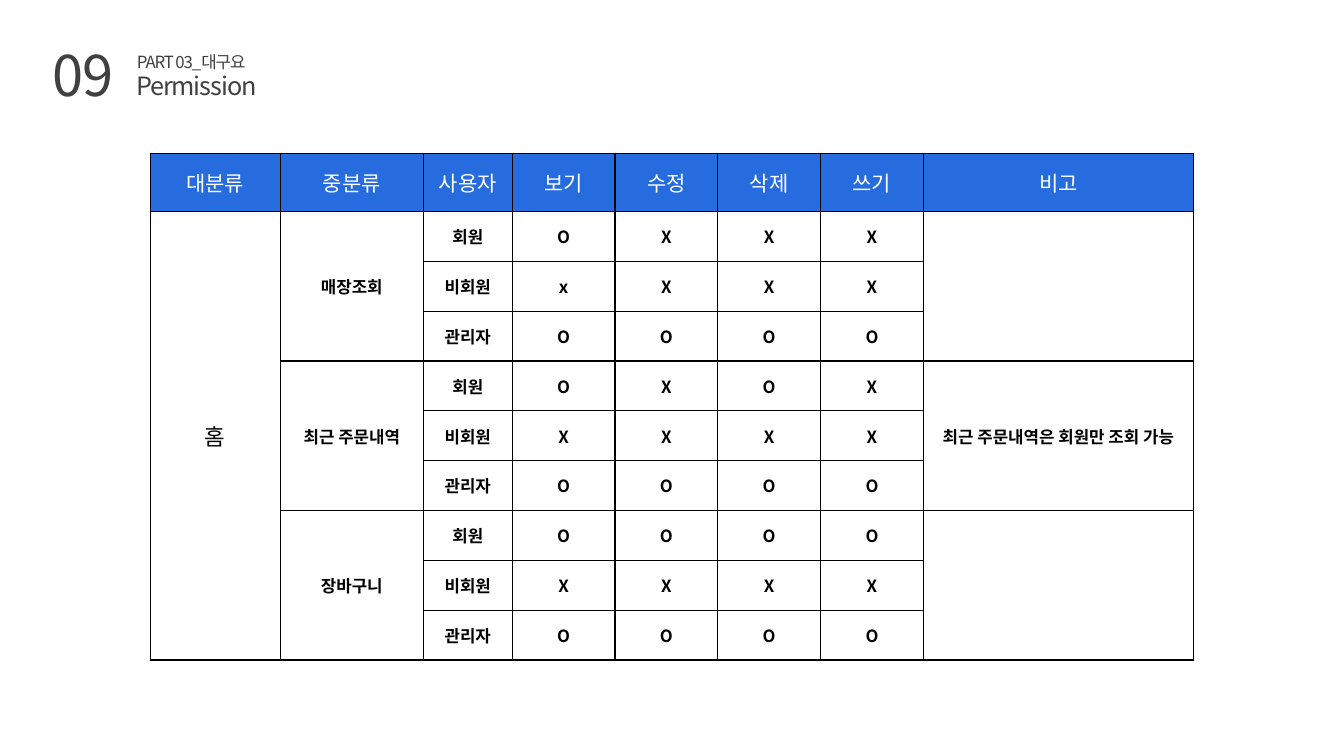
from dataclasses import dataclass

from lxml.etree import SubElement
from pptx import Presentation
from pptx.dml.color import RGBColor
from pptx.enum.text import MSO_ANCHOR, MSO_AUTO_SIZE, PP_ALIGN
from pptx.oxml.ns import qn
from pptx.shapes.base import BaseShape
from pptx.slide import Slide
from pptx.table import _Cell
from pptx.text.text import _Paragraph
from pptx.util import Inches, Pt

FACE = "Noto Sans CJK KR"
COLORS = {"ink": "404040", "head": "266CDE", "white": "FFFFFF", "black": "000000"}
HEADS = ["대분류", "중분류", "사용자", "보기", "수정", "삭제", "쓰기", "비고"]
USERS = ["회원", "비회원", "관리자"]
WIDTHS = [1.29, 1.42, 0.88] + [1.02] * 4 + [2.68]
HEAD_TALL, TALL = 0.58, 5.03


@dataclass
class Label:
    """A heading text with its place and size."""
    text: str
    left: float
    top: float
    width: float
    height: float
    size: int
    wrap: bool = False


@dataclass
class Group:
    """A middle category with one mark string per user."""
    name: str
    marks: list[str]
    note: str = ""


TITLE = Label("Permission", 1.25, 0.65, 1.4, 0.4, 18)
LABELS = [
    Label("PART 03_대구요", 1.26, 0.46, 2.11, 0.3, 12, True),
    Label("09", 0.42, 0.35, 0.92, 0.77, 40),
]
GROUPS = [
    Group("매장조회", ["OXXX", "xXXX", "OOOO"]),
    Group("최근 주문내역", ["OXOX", "XXXX", "OOOO"], "최근 주문내역은 회원만 조회 가능"),
    Group("장바구니", ["OOOO", "XXXX", "OOOO"]),
]


def style(para: _Paragraph, size: int, color: str, bold: bool = False, gap: int = 0) -> None:
    """Set the font, and the letter gap in hundredths of a point."""
    font = para.font
    font.name, font.size, font.bold = FACE, Pt(size), bold
    font.color.rgb = RGBColor.from_string(COLORS[color])
    props = para._p.pPr.find(qn("a:defRPr"))
    props.set("spc", str(gap))
    SubElement(props, qn("a:ea"), typeface=FACE)


def write(box: BaseShape, label: Label) -> None:
    """Place a heading and fill in its text."""
    box.left, box.top = Inches(label.left), Inches(label.top)
    box.width, box.height = Inches(label.width), Inches(label.height)
    frame = box.text_frame
    frame.text = label.text
    frame.word_wrap = label.wrap
    frame.auto_size = MSO_AUTO_SIZE.SHAPE_TO_FIT_TEXT
    frame.vertical_anchor = MSO_ANCHOR.TOP
    para = frame.paragraphs[0]
    para.alignment = PP_ALIGN.LEFT
    style(para, label.size, "ink", gap=-80)


def border(cell: _Cell) -> None:
    """Draw a thin black line on all four sides."""
    props = cell._tc.get_or_add_tcPr()
    for side in ("lnL", "lnR", "lnT", "lnB"):
        line = SubElement(props, qn(f"a:{side}"), w=str(Pt(1)))
        fill = SubElement(line, qn("a:solidFill"))
        SubElement(fill, qn("a:srgbClr"), val=COLORS["black"])


def put(cell: _Cell, text: str, size: int = 12, color: str = "black", bold: bool = True) -> None:
    """Write centred text into a cell."""
    cell.text = text
    para = cell.text_frame.paragraphs[0]
    para.alignment = PP_ALIGN.CENTER
    style(para, size, color, bold)


def draw(slide: Slide) -> None:
    """Build the permission table."""
    step = len(USERS)
    count = step * len(GROUPS)
    table = slide.shapes.add_table(
        count + 1, len(HEADS), Inches(1.49), Inches(1.52), Inches(sum(WIDTHS)), Inches(TALL)
    ).table
    for col, width in zip(table.columns, WIDTHS):
        col.width = Inches(width)
    for num, row in enumerate(table.rows):
        row.height = Inches((TALL - HEAD_TALL) / count if num else HEAD_TALL)
        for cell in row.cells:
            border(cell)
            cell.vertical_anchor = MSO_ANCHOR.MIDDLE
            if num:
                cell.fill.background()
            else:
                cell.fill.solid()
                cell.fill.fore_color.rgb = RGBColor.from_string(COLORS["head"])
    for col, head in enumerate(HEADS):
        put(table.cell(0, col), head, 15, "white", False)
    table.cell(1, 0).merge(table.cell(count, 0))
    put(table.cell(1, 0), "홈", 16, bold=False)
    last = len(HEADS) - 1
    for num, group in enumerate(GROUPS):
        top = 1 + num * step
        for col, text in ((1, group.name), (last, group.note)):
            table.cell(top, col).merge(table.cell(top + step - 1, col))
            put(table.cell(top, col), text)
        for row, (user, marks) in enumerate(zip(USERS, group.marks), top):
            for col, text in enumerate([user, *marks], 2):
                put(table.cell(row, col), text)


def main() -> None:
    """Build and save the slide."""
    deck = Presentation()
    deck.slide_width, deck.slide_height = Inches(13.33), Inches(7.5)
    slide = deck.slides.add_slide(deck.slide_layouts[5])
    write(slide.shapes.title, TITLE)
    for label in LABELS:
        write(slide.shapes.add_textbox(0, 0, 0, 0), label)
    draw(slide)
    deck.save("out.pptx")


if __name__ == "__main__":
    main()
